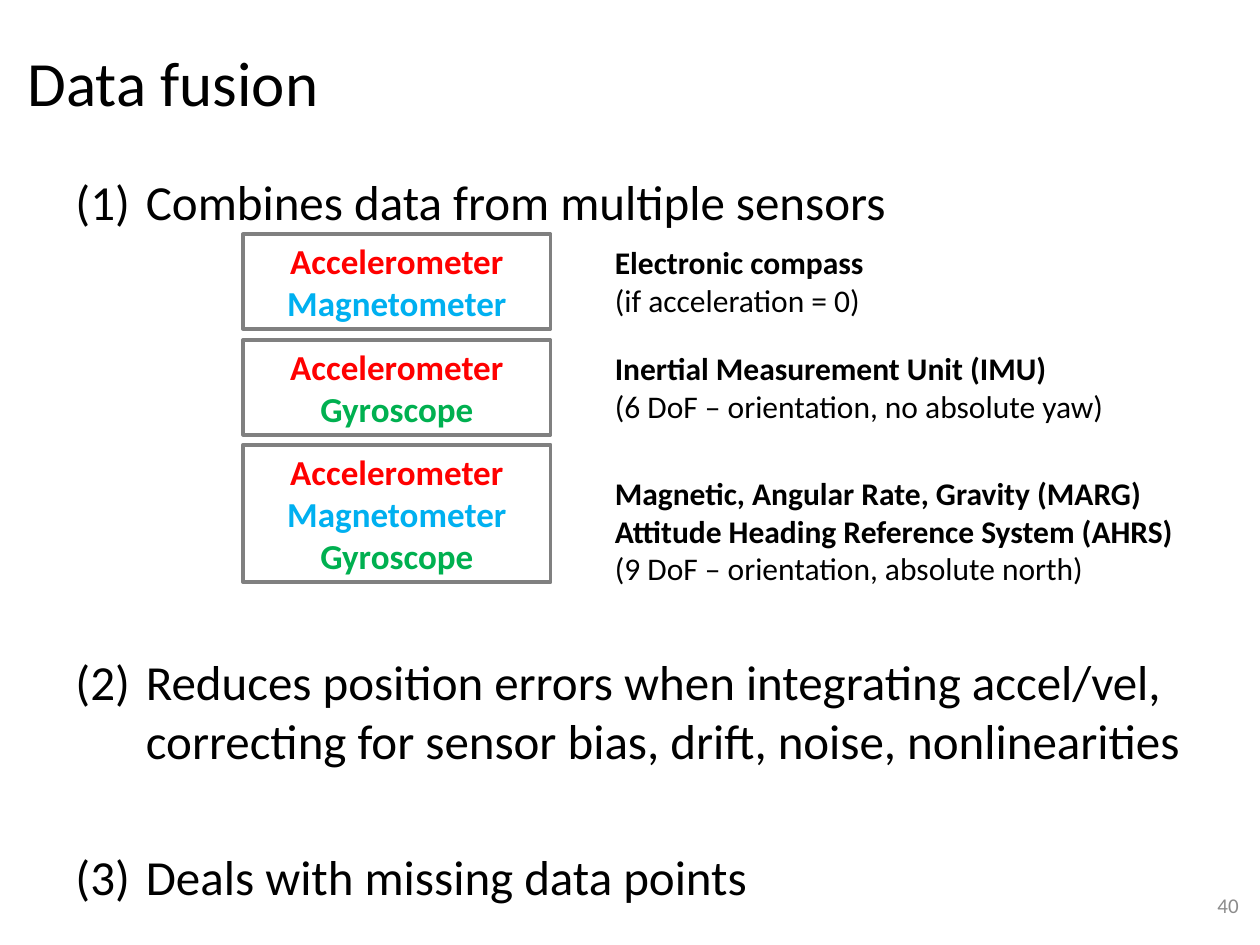
from pptx import Presentation
from pptx.dml.color import RGBColor
from pptx.enum.shapes import MSO_SHAPE
from pptx.enum.text import MSO_ANCHOR, PP_ALIGN
from pptx.oxml.ns import qn
from pptx.util import Inches, Pt

RECT = MSO_SHAPE.RECTANGLE
TOP, MID = MSO_ANCHOR.TOP, MSO_ANCHOR.MIDDLE
LEFT, CENTER, RIGHT = PP_ALIGN.LEFT, PP_ALIGN.CENTER, PP_ALIGN.RIGHT

WIDE, HIGH = 10, 7.5
FONT = "Calibri"
COLORS = {"ink": "000000", "page": "8C8C8C", "edge": "808080",
          "Accelerometer": "FF0000", "Magnetometer": "00B0F0",
          "Gyroscope": "00B050"}

# Columns of the sensor grid: left edge and width
BOX_X, BOX_W = 1.93, 2.44
NOTE_X, NOTE_W = 4.84, 4.96
PAD = 0.04

# Each row: top, height, note top, note height, sensors, names, remark
ROWS = [
    (1.86, 0.75, 1.89, 0.69, ["Accelerometer", "Magnetometer"],
     ["Electronic compass"], "(if acceleration = 0)"),
    (2.70, 0.75, 2.73, 0.69, ["Accelerometer", "Gyroscope"],
     ["Inertial Measurement Unit (IMU)"],
     "(6 DoF – orientation, no absolute yaw)"),
    (3.53, 1.09, 3.72, 0.99, ["Accelerometer", "Magnetometer", "Gyroscope"],
     ["Magnetic, Angular Rate, Gravity (MARG)",
      "Attitude Heading Reference System (AHRS)"],
     "(9 DoF – orientation, absolute north)"),
]

# Numbered points with the space before each, in points
POINTS = [
    ("Combines data from multiple sensors", 0),
    ("Reduces position errors when integrating accel/vel,\v"
     "correcting for sensor bias, drift, noise, nonlinearities", 241),
    ("Deals with missing data points", 44),
]


def rgb(name):
    return RGBColor.from_string(COLORS[name])


def write(frame, text, size=18, color="ink", bold=False, align=LEFT, before=0):
    """Add one formatted paragraph, filling the empty first one if unused."""
    para = frame.paragraphs[0]
    if para.runs:
        para = frame.add_paragraph()
    para.text = text
    para.alignment = align
    para.space_before = Pt(before)
    for run in para.runs:
        font = run.font
        font.name, font.size, font.bold = FONT, Pt(size), bold
        font.color.rgb = rgb(color)
    return para


def number(para, indent=0.56):
    """Give a paragraph a hanging (1), (2), ... label."""
    props = para._p.get_or_add_pPr()
    props.set("marL", str(Inches(indent)))
    props.set("indent", str(-Inches(indent)))
    mark = props.makeelement(qn("a:buAutoNum"), {"type": "arabicParenBoth"})
    props.append(mark)


def setup(shape, anchor, pad=None):
    frame = shape.text_frame
    frame.word_wrap = True
    frame.vertical_anchor = anchor
    if pad is not None:
        frame.margin_left = frame.margin_right = Inches(pad)
        frame.margin_top = frame.margin_bottom = Inches(pad)
    return frame


def area(slide, x, y, w, h, anchor=TOP, pad=None):
    box = slide.shapes.add_textbox(*map(Inches, (x, y, w, h)))
    return setup(box, anchor, pad)


def panel(slide, x, y, w, h):
    box = slide.shapes.add_shape(RECT, *map(Inches, (x, y, w, h)))
    box.shadow.inherit = False
    box.fill.background()
    box.line.color.rgb = rgb("edge")
    box.line.width = Pt(2.25)
    return setup(box, MID, PAD)


def main():
    deck = Presentation()
    deck.slide_width, deck.slide_height = Inches(WIDE), Inches(HIGH)
    slide = deck.slides.add_slide(deck.slide_layouts[6])

    # Title
    write(area(slide, 0.12, 0.21, 9.53, 0.87, MID), "Data fusion", size=36)

    # Numbered points
    body = area(slide, 0.5, 1.31, 9.15, 5.78)
    for text, gap in POINTS:
        number(write(body, text, size=28, before=gap))

    # Sensor sets and what they form
    for top, high, y, h, sensors, names, remark in ROWS:
        box = panel(slide, BOX_X, top, BOX_W, high)
        for name in sensors:
            write(box, name, size=20, color=name, bold=True, align=CENTER)
        note = area(slide, NOTE_X, y, NOTE_W, h, pad=PAD)
        for name in names:
            write(note, name, bold=True)
        write(note, remark)

    # Page number
    page = area(slide, 7.6, 6.98, 2.33, 0.4, MID)
    write(page, "40", size=12, color="page", align=RIGHT)

    deck.save("out.pptx")


if __name__ == "__main__":
    main()
